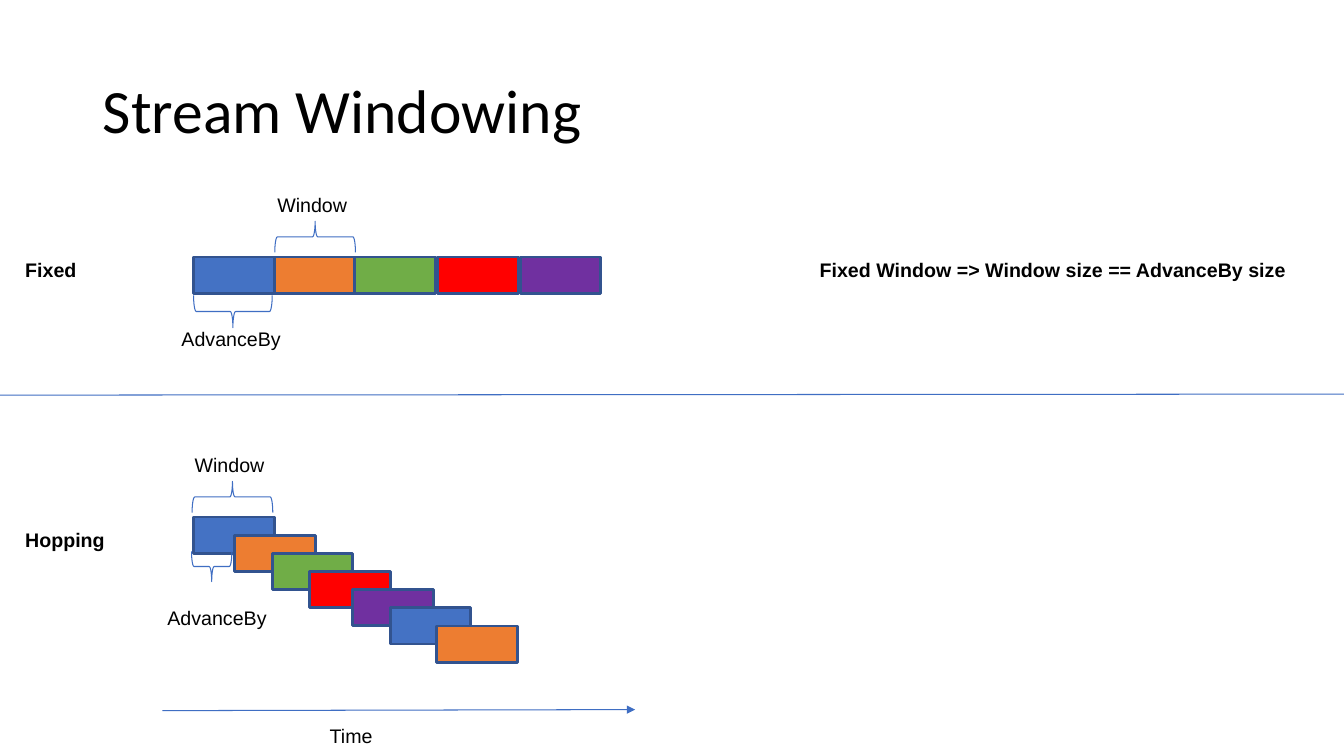
"""Build the Stream Windowing slide: fixed and hopping windows over time."""
import pptx
import pptx.util
import pptx.dml.color
import pptx.enum.shapes
import pptx.enum.text
import pptx.oxml.ns
import lxml.etree

Inches, Pt = pptx.util.Inches, pptx.util.Pt
RGB = pptx.dml.color.RGBColor.from_string
SHAPE = pptx.enum.shapes.MSO_SHAPE
COLORS = {"blue": "4472C4", "orange": "ED7D31", "green": "70AD47", "red": "FF0000",
          "purple": "7030A0", "border": "32538F", "line": "3F6EC3", "text": "000000"}
WINDOW_W, WINDOW_H = 0.8, 0.36


def set_text(tf, text, font, size, bold, margin):
    for side in ("left", "top", "right", "bottom"):
        setattr(tf, f"margin_{side}", Inches(margin))
    p = tf.paragraphs[0]
    p.alignment = pptx.enum.text.PP_ALIGN.LEFT
    r = p.add_run()
    r.text = text
    for name, value in {"name": font, "size": Pt(size), "bold": bold}.items():
        setattr(r.font, name, value)
    r.font.color.rgb = RGB(COLORS["text"])
    return p


def set_line(sp, color, width):
    sp.line.color.rgb = RGB(COLORS[color])
    sp.line.width = Pt(width)


prs = pptx.Presentation()
prs.slide_width, prs.slide_height = Inches(13.33), Inches(7.5)
s = prs.slides.add_slide(prs.slide_layouts[5])

title = s.shapes.title
frame = {"left": 0.92, "top": 0.4, "width": 11.5, "height": 1.45}
for name, value in frame.items():
    setattr(title, name, Inches(value))
tf = title.text_frame
tf.word_wrap = True
tf.auto_size = pptx.enum.text.MSO_AUTO_SIZE.NONE
tf.vertical_anchor = pptx.enum.text.MSO_ANCHOR.MIDDLE
set_text(tf, "Stream Windowing", "Calibri", 44, False, 0.1).line_spacing = 0.9

cycle = ["blue", "orange", "green", "red", "purple"]
rows = [
    ([1.92, 2.72, 3.52, 4.34, 5.16], 2.55, 0),
    ([1.92, 2.33, 2.7, 3.07, 3.5, 3.87, 4.33], 5.13, WINDOW_H / 2),
]
for lefts, top, step in rows:
    for i, left in enumerate(lefts):
        sp = s.shapes.add_shape(SHAPE.RECTANGLE, Inches(left), Inches(top + i * step),
                                Inches(WINDOW_W), Inches(WINDOW_H))
        sp.shadow.inherit = False
        sp.fill.solid()
        sp.fill.fore_color.rgb = RGB(COLORS[cycle[i % len(cycle)]])
        set_line(sp, "border", 2)

braces = [
    (2.97, 1.95, 0.31, 0.8, 90),
    (2.15, 2.7, 0.32, 0.78, 270),
    (2.15, 4.53, 0.31, 0.8, 90),
    (1.95, 5.42, 0.3, 0.4, 270),
]
for left, top, width, height, rotation in braces:
    sp = s.shapes.add_shape(SHAPE.LEFT_BRACE, Inches(left), Inches(top),
                            Inches(width), Inches(height))
    sp.rotation = rotation
    sp.shadow.inherit = False
    sp.fill.background()
    set_line(sp, "line", 0.75)

labels = [
    ("Window", 2.7, 1.86, 0.81, False),
    ("AdvanceBy", 1.75, 3.19, 1.1, False),
    ("Window", 1.88, 4.44, 0.81, False),
    ("AdvanceBy", 1.61, 5.96, 1.1, False),
    ("Time", 3.22, 7.13, 0.54, False),
    ("Fixed", 0.2, 2.51, 0.62, True),
    ("Hopping", 0.2, 5.19, 0.9, True),
    ("Fixed Window => Window size == AdvanceBy size", 8.08, 2.51, 4.73, True),
]
for text, left, top, width, bold in labels:
    tb = s.shapes.add_textbox(Inches(left), Inches(top), Inches(width), Inches(0.32))
    tf = tb.text_frame
    tf.word_wrap = False
    tf.auto_size = pptx.enum.text.MSO_AUTO_SIZE.SHAPE_TO_FIT_TEXT
    set_text(tf, text, "Arial", 14, bold, 0.05)

lines = [(0, 3.92, 13.33, 3.91, False), (1.61, 7.05, 6.3, 7.04, True)]
for x1, y1, x2, y2, arrow in lines:
    cx = s.shapes.add_connector(pptx.enum.shapes.MSO_CONNECTOR.STRAIGHT,
                                Inches(x1), Inches(y1), Inches(x2), Inches(y2))
    set_line(cx, "line", 0.75)
    if arrow:
        lxml.etree.SubElement(cx.line._get_or_add_ln(), pptx.oxml.ns.qn("a:tailEnd"),
                              type="triangle")
    lxml.etree.SubElement(cx._element.spPr, pptx.oxml.ns.qn("a:effectLst"))

prs.save("out.pptx")
